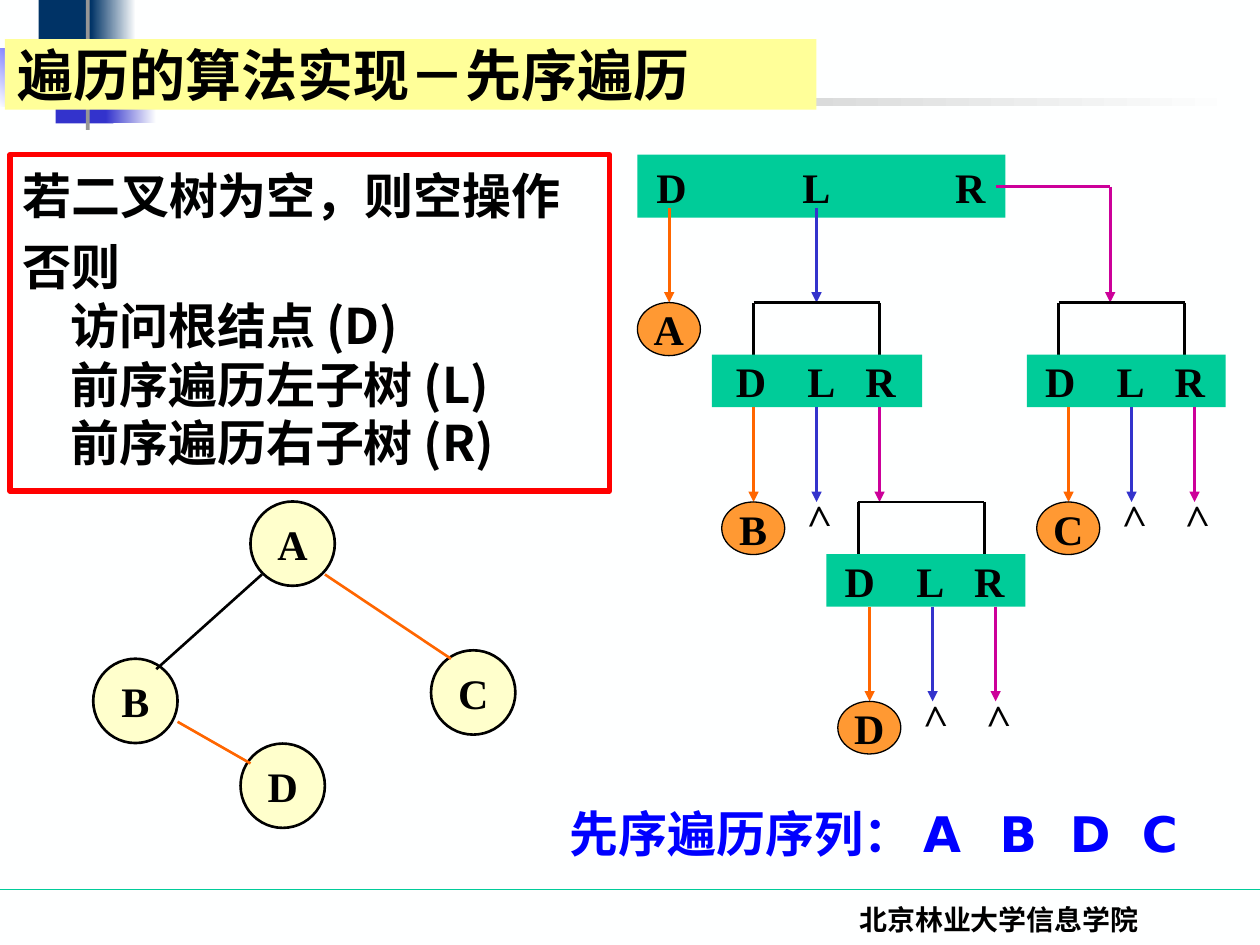
from lxml import etree
from pptx import Presentation
from pptx.dml.color import RGBColor
from pptx.enum import shapes, text
from pptx.oxml.ns import qn
from pptx.util import Cm, Pt

BLACK = RGBColor(0, 0, 0)
PAPER = RGBColor(0xFE, 0xFF, 0xFF)
NAVY = RGBColor(0x00, 0x33, 0x66)
INDIGO = RGBColor(0x33, 0x33, 0xCC)
BLUE = RGBColor(0x00, 0x00, 0xFF)
GREY = RGBColor(0x96, 0x96, 0x96)
GREEN = RGBColor(0x00, 0xCC, 0x99)
ORANGE = RGBColor(0xFF, 0x66, 0x00)
AMBER = RGBColor(0xFF, 0x99, 0x33)
MAGENTA = RGBColor(0xCC, 0x00, 0x99)
RED = RGBColor(0xFF, 0x00, 0x00)
CREAM = RGBColor(0xFF, 0xFF, 0xCC)
YELLOW = RGBColor(0xFF, 0xFF, 0x99)

SERIF = "Times New Roman"
SANS = "DejaVu Sans"
CJK = "Noto Sans CJK SC"
RECT = shapes.MSO_SHAPE.RECTANGLE
OVAL = shapes.MSO_SHAPE.OVAL
LEFT = text.PP_ALIGN.LEFT
CENTER = text.PP_ALIGN.CENTER
MIDDLE = text.MSO_ANCHOR.MIDDLE
COLUMN = 1.27


def add_box(s, kind, x, y, w, h, fill=None, line=None, width=0.75):
    sp = s.shapes.add_shape(kind, Cm(x), Cm(y), Cm(w), Cm(h))
    sp.shadow.inherit = False
    if fill is None:
        sp.fill.background()
    else:
        sp.fill.solid()
        sp.fill.fore_color.rgb = fill
    if line is None:
        sp.line.fill.background()
    else:
        sp.line.color.rgb = line
        sp.line.width = Pt(width)
    return sp


def add_gradient(s, x, y, w, h, start, end, angle=0):
    sp = add_box(s, RECT, x, y, w, h)
    sp.fill.gradient()
    sp.fill.gradient_angle = angle
    for stop, color in zip(sp.fill.gradient_stops, (start, end)):
        stop.color.rgb = color


def add_line(s, x1, y1, x2, y2, color, width=1.5, arrow=False):
    line = s.shapes.add_connector(
        shapes.MSO_CONNECTOR.STRAIGHT, Cm(x1), Cm(y1), Cm(x2), Cm(y2))
    line.line.color.rgb = color
    line.line.width = Pt(width)
    if arrow:
        etree.SubElement(line.line._get_or_add_ln(), qn("a:tailEnd"), type="triangle")
    etree.SubElement(line.element.spPr, qn("a:effectLst"))


def format_text(p, words, size, font, color=BLACK, align=LEFT, tabs=(), tab_kind="ctr"):
    p.text = words
    p.alignment = align
    if tabs:
        tab_list = etree.SubElement(p._p.get_or_add_pPr(), qn("a:tabLst"))
        for pos in tabs:
            etree.SubElement(tab_list, qn("a:tab"), pos=str(Cm(pos)), algn=tab_kind)
    p.font.size = Pt(size)
    p.font.name = font
    p.font.bold = True
    p.font.color.rgb = color


def add_text(s, x, y, w, h, words, size, font, **options):
    sp = s.shapes.add_textbox(Cm(x), Cm(y), Cm(w), Cm(h))
    sp.text_frame.word_wrap = True
    format_text(sp.text_frame.paragraphs[0], words, size, font, **options)
    return sp


def add_node(s, x, y, w, h, letter, fill, width):
    sp = add_box(s, OVAL, x, y, w, h, fill, BLACK, width)
    tf = sp.text_frame
    tf.word_wrap = False
    tf.vertical_anchor = MIDDLE
    format_text(tf.paragraphs[0], letter, 24, SERIF, align=CENTER)


def add_dlr(s, x, y, w, h, offsets):
    tf = add_box(s, RECT, x, y, w, h, GREEN).text_frame
    tf.margin_left = tf.margin_right = 0
    tf.vertical_anchor = MIDDLE
    format_text(tf.paragraphs[0], "\tD\tL\tR", 24, SERIF,
                tabs=[w / 2 + offset for offset in offsets])


def add_null(s, x, y):
    sp = add_text(s, x - 0.53, y - 0.33, 1.06, 1.27, ">", 24, SERIF, align=CENTER)
    sp.rotation = 268.3
    tf = sp.text_frame
    tf.margin_left = tf.margin_right = 0
    tf.vertical_anchor = MIDDLE


def add_visit(s, letter, top, bracket, left, width, first, nulls):
    right = bracket + 2 * COLUMN
    add_line(s, bracket, top, right, top, BLACK)
    for x in (bracket, right):
        add_line(s, x, top, x, top + 1.05, BLACK)
    add_dlr(s, left, top + 1.05, width, 1.06, (-1.33, 0.09, 1.28))
    end = top + 4.02
    for i, color in enumerate((ORANGE, INDIGO, MAGENTA)):
        x = first + i * COLUMN
        add_line(s, x, top + 2.11, x, end, color, arrow=True)
        if i in nulls:
            add_null(s, x, end)
    add_node(s, first - 0.64, end, 1.27, 1.06, letter, AMBER, 0.75)


def add_decoration(s):
    add_line(s, 0, 17.93, 25.4, 17.93, GREEN, 0.75)
    add_box(s, RECT, 0.78, 0, 1.22, 1.32, NAVY)
    add_gradient(s, 1.83, 0, 0.91, 1.32, NAVY, PAPER)
    add_box(s, RECT, 1.12, 1.17, 1.17, 1.32, INDIGO)
    add_gradient(s, 2.13, 1.17, 1.02, 1.32, INDIGO, PAPER)
    add_gradient(s, -0.03, 0.97, 1.55, 1.17, PAPER, BLUE, 45)
    add_box(s, RECT, 1.73, -0.3, 0.08, 2.92, GREY)
    add_gradient(s, 0.84, 1.98, 24.16, 0.15, GREY, PAPER)
    add_text(s, 14.88, 18.06, 10.52, 1.27, "北京林业大学信息学院", 16, SERIF, align=CENTER)


def add_traversal(s):
    add_dlr(s, 12.85, 3.12, 7.42, 1.27, (-3.02, -0.1, 3))
    add_line(s, 13.49, 4.19, 13.49, 6.1, ORANGE, arrow=True)
    add_node(s, 12.85, 6.1, 1.27, 1.07, "A", AMBER, 0.75)
    add_line(s, 16.46, 4.19, 16.46, 6.1, INDIGO, arrow=True)
    add_line(s, 20.07, 3.76, 22.38, 3.76, MAGENTA)
    add_line(s, 22.38, 3.76, 22.38, 6.1, MAGENTA, arrow=True)
    for visit in (
        ("B", 6.1, 15.19, 14.35, 4.24, 15.19, (1,)),
        ("D", 10.12, 17.3, 16.66, 4.01, 17.53, (1, 2)),
        ("C", 6.1, 21.34, 20.7, 4.01, 21.54, (1, 2)),
    ):
        add_visit(s, *visit)


def add_tree(s):
    for letter, x, y in (("A", 5.05, 10.11), ("D", 4.85, 14.99),
                         ("B", 1.88, 13.28), ("C", 8.69, 13.11)):
        add_node(s, x, y, 1.7, 1.7, letter, CREAM, 1.5)
    add_line(s, 5.28, 11.58, 3.15, 13.49, BLACK)
    add_line(s, 6.55, 11.58, 9.09, 13.28, ORANGE)
    add_line(s, 3.58, 14.55, 5.05, 15.39, ORANGE)


def add_algorithm(s):
    tf = add_box(s, RECT, 0.2, 3.12, 12.09, 6.78, line=RED, width=3).text_frame
    tf.margin_top = Cm(0.23)
    tf.vertical_anchor = text.MSO_ANCHOR.TOP
    steps = "否则\v访问根结点 (D)\v前序遍历左子树 (L)\v前序遍历右子树 (R)"
    for p, words in ((tf.paragraphs[0], "若二叉树为空，则空操作"),
                     (tf.add_paragraph(), steps)):
        pPr = p._p.get_or_add_pPr()
        pPr.set("marL", str(Cm(0.97)))
        pPr.set("indent", str(Cm(-0.97)))
        p.line_spacing = Pt(33.5)
        format_text(p, words, 28, CJK)
    p.space_before = Pt(7)


def add_title(s, words):
    sp = s.shapes.title
    sp.left, sp.top, sp.width, sp.height = Cm(0.1), Cm(0.79), Cm(16.36), Cm(1.42)
    sp.fill.solid()
    sp.fill.fore_color.rgb = YELLOW
    sp.text_frame.vertical_anchor = MIDDLE
    sp.text_frame.auto_size = text.MSO_AUTO_SIZE.NONE
    format_text(sp.text_frame.paragraphs[0], words, 32, CJK)
    s.shapes.element.append(sp.element)


def main():
    prs = Presentation()
    prs.slide_width, prs.slide_height = Cm(25.4), Cm(19.05)
    s = prs.slides.add_slide(prs.slide_layouts[5])
    s.background.fill.solid()
    s.background.fill.fore_color.rgb = PAPER
    add_decoration(s)
    add_traversal(s)
    add_tree(s)
    add_text(s, 11.23, 16.08, 13.18, 1.45, "先序遍历序列：\tA\tB\tD\tC", 28, SANS,
             color=BLUE, tabs=(7.13, 8.67, 10.09, 11.54), tab_kind="l")
    add_algorithm(s)
    add_title(s, "遍历的算法实现－先序遍历")
    prs.save("out.pptx")


if __name__ == "__main__":
    main()
